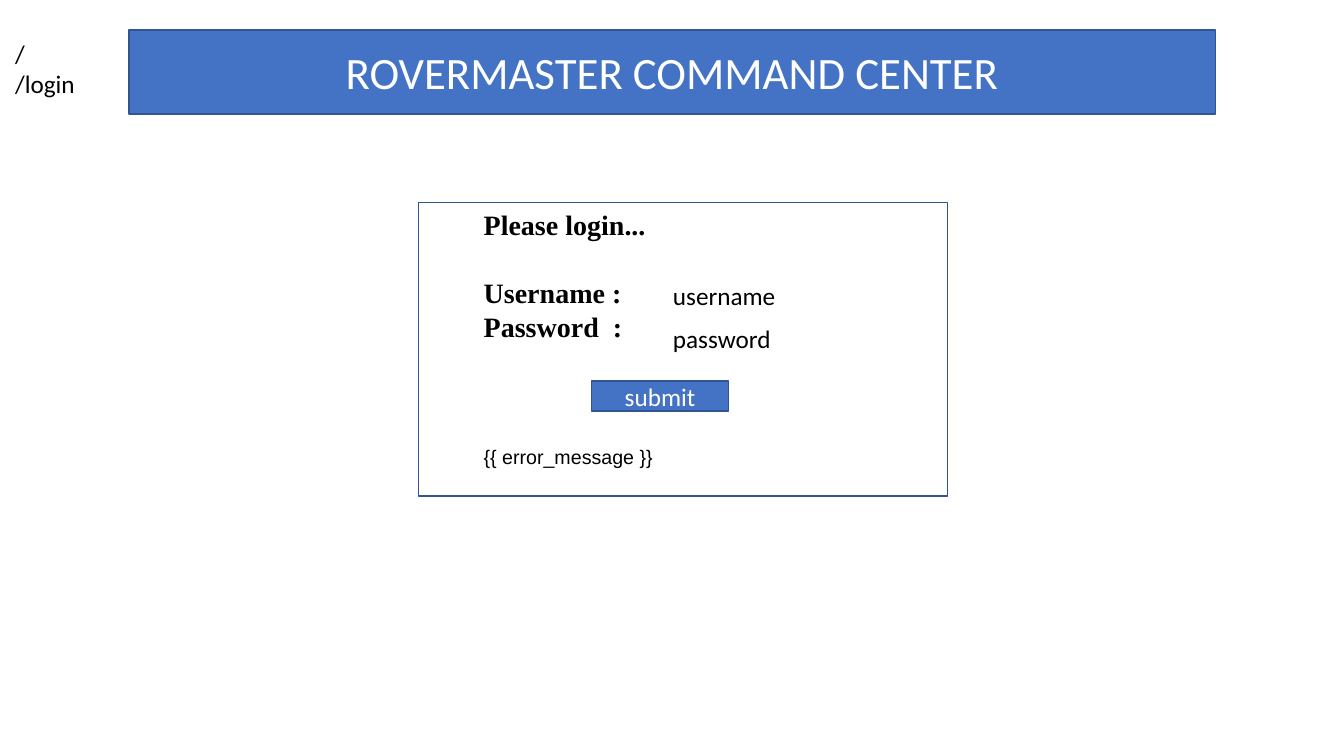
from pptx import Presentation
from pptx.dml.color import RGBColor
from pptx.enum.shapes import MSO_SHAPE
from pptx.enum.text import MSO_ANCHOR, PP_ALIGN
from pptx.util import Cm, Pt

COLORS = {"blue": "4472C4", "edge": "325491", "white": "FFFFFF", "black": "000000"}

# Boxes: left, top, width, height in cm
BANNER = ("ROVERMASTER COMMAND CENTER", (3.25, 0.76, 27.38, 2.11), 32)
PANEL = (10.54, 5.11, 13.34, 7.39)
BUTTON = ("submit", (14.91, 9.6, 3.45, 0.76), 18)
ROUTES = (["/", "/login"], (0.13, 0.84, 2.87, 1.8))
FIELDS = ["username", "password"]
FIELD_BOX = (16.71, 6.93, 3.45, 1.02)
FIELD_STEP = 1.09
FORM_BOX = (11.94, 5.11, 9.96, 6.83)
# Form lines: text, font, size, bold, space before in points
FORM = [
    ("Please login...", "Times New Roman", 20, True, 0),
    ("Username :", "Times New Roman", 20, True, 24.4),
    ("Password  :", "Times New Roman", 20, True, 0),
    ("{{ error_message }}", "Arial", 14, False, 73.2),
]


def color(name):
    return RGBColor.from_string(COLORS[name])


def style(para, font, size, tint, bold=False):
    for run in para.runs:
        run.font.name = font
        run.font.size = Pt(size)
        run.font.bold = bold
        run.font.color.rgb = color(tint)


def add_box(slide, box, fill=None):
    shape = slide.shapes.add_shape(MSO_SHAPE.RECTANGLE, *map(Cm, box))
    shape.shadow.inherit = False
    shape.line.color.rgb = color("edge")
    shape.line.width = Pt(1)
    if fill:
        shape.fill.solid()
        shape.fill.fore_color.rgb = color(fill)
    else:
        shape.fill.background()
    return shape


def add_label(slide, text, box, size):
    """Add a blue box with centred white text."""
    frame = add_box(slide, box, "blue").text_frame
    frame.text = text
    frame.vertical_anchor = MSO_ANCHOR.MIDDLE
    para = frame.paragraphs[0]
    para.alignment = PP_ALIGN.CENTER
    style(para, "Calibri", size, "white")


def add_text(slide, lines, box):
    frame = slide.shapes.add_textbox(*map(Cm, box)).text_frame
    frame.word_wrap = True
    frame.text = "\n".join(lines)
    for para in frame.paragraphs:
        style(para, "Calibri", 18, "black")
    return frame


def add_form(slide):
    frame = add_text(slide, [line[0] for line in FORM], FORM_BOX)
    frame.vertical_anchor = MSO_ANCHOR.MIDDLE
    for para, (_, font, size, bold, gap) in zip(frame.paragraphs, FORM):
        style(para, font, size, "black", bold)
        para.space_before = Pt(gap)


def main():
    deck = Presentation()
    deck.slide_width, deck.slide_height = Cm(33.87), Cm(19.05)
    slide = deck.slides.add_slide(deck.slide_layouts[6])
    add_label(slide, *BANNER)
    add_box(slide, PANEL)
    add_text(slide, *ROUTES)
    add_form(slide)
    add_label(slide, *BUTTON)
    left, top, width, height = FIELD_BOX
    for row, field in enumerate(FIELDS):
        add_text(slide, [field], (left, top + row * FIELD_STEP, width, height))
    deck.save("out.pptx")


if __name__ == "__main__":
    main()
